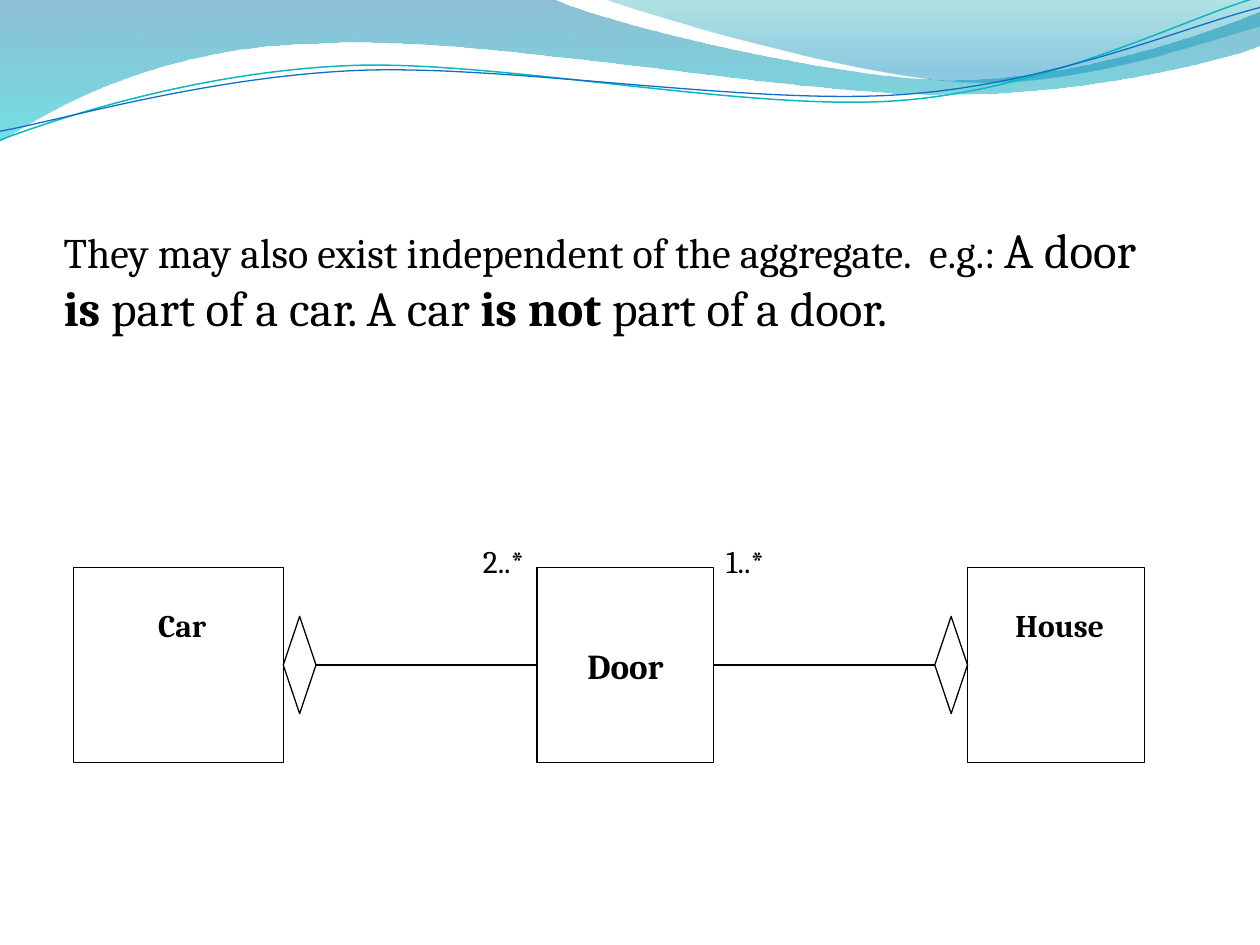
import pptx
import pptx.util
import pptx.dml.color
import pptx.enum.shapes
import pptx.enum.text
import pptx.oxml.ns
from lxml import etree

Pt = pptx.util.Pt
SHAPE = pptx.enum.shapes.MSO_SHAPE
ALIGN = pptx.enum.text.PP_ALIGN
ANCHOR = pptx.enum.text.MSO_ANCHOR
qn = pptx.oxml.ns.qn

FONT = "Cambria"
COLORS = {
    "ink": "000000",
    "deep": "0074A1",
    "aqua": "00C6CF",
    "teal": "00A1A9",
    "sky": "008BBF",
    "teal_line": "0AB8BF",
    "blue_line": "0F6FC6",
}

# Outlines in points: a pair is a corner, six numbers are a Bezier segment.
BROAD_WAVE = [
    (0, 0), (317, -0.5),
    (343, 12, 478, 45.5, 546, 45.5), (614, 45.5, 690, 19, 720, 6.5),
    (720.5, 26),
    (708, 31.5, 626, 54.7, 537, 54), (448, 54, 275, 20, 185, 24.5),
    (92.5, 26, 33, 60, -0.5, 81),
]
RIGHT_WAVE = [
    (345, -0.5),
    (366.5, 8, 491, 44.5, 553.7, 47), (616, 49.5, 692, 23, 720, 15),
    (720, 0),
]
TEAL_CURVE = [
    (0, 80),
    (34.5, 67, 114, 41, 199.5, 37.5), (284.5, 34, 427, 64, 513.5, 57.5),
    (600, 51, 675.5, 11, 718.5, -1.5),
]
BLUE_CURVE = [
    (0, 75),
    (34, 69, 118, 44, 204, 40.3), (290, 36.7, 430, 60.5, 516, 54),
    (602, 48, 677.5, 15, 720, 4.3),
]


def rgb(name):
    return pptx.dml.color.RGBColor.from_string(COLORS[name])


def add_outline(slide, left, top, outline, close):
    """Draw the outline, joining each three points of a Bezier into one curve."""
    points = [(Pt(left + part[i]), Pt(top + part[i + 1]))
              for part in outline for i in range(0, len(part), 2)]
    builder = slide.shapes.build_freeform(*points[0], scale=1.0)
    builder.add_line_segments(points[1:], close=close)
    sp = builder.convert_to_shape()
    sp.shadow.inherit = False
    lines = iter(list(sp._element.iter(qn("a:lnTo"))))
    for part in outline[1:]:
        first = next(lines)
        if len(part) == 6:
            first.tag = qn("a:cubicBezTo")
            for _ in range(2):
                extra = next(lines)
                first.append(extra[0])
                extra.getparent().remove(extra)
    return sp


def add_waves(slide, left, top):
    for outline, stops in (
        (BROAD_WAVE, [(0, "deep", 45), (1, "aqua", 55)]),
        (RIGHT_WAVE, [(0, "teal", 30), (0.8, "sky", 45)]),
    ):
        sp = add_outline(slide, left, top, outline, True)
        sp.line.fill.background()
        sp.fill.gradient()
        sp.fill.gradient_angle = 270
        for stop, (position, color, opacity) in zip(sp.fill.gradient_stops, stops):
            stop.position = position
            stop.color.rgb = rgb(color)
        gradient = sp._element.spPr.find(qn("a:gradFill"))
        for clr, (position, color, opacity) in zip(gradient.iter(qn("a:srgbClr")), stops):
            etree.SubElement(clr, qn("a:alpha"), val=str(opacity * 1000))
    for outline, color, width in ((TEAL_CURVE, "teal_line", 0.85),
                                  (BLUE_CURVE, "blue_line", 0.75)):
        sp = add_outline(slide, left, top, outline, False)
        sp.fill.background()
        sp.line.color.rgb = rgb(color)
        sp.line.width = Pt(width)


def write(tf, runs, align=ALIGN.LEFT):
    """Fill a frame with one paragraph of (text, size, bold) runs."""
    tf.word_wrap = True
    p = tf.paragraphs[0]
    p.alignment = align
    for text, size, bold in runs:
        r = p.add_run()
        r.text = text
        for key, value in {"name": FONT, "size": Pt(size), "bold": bold}.items():
            setattr(r.font, key, value)
        r.font.color.rgb = rgb("ink")


def add_text(slide, left, top, width, height, runs, align=ALIGN.LEFT):
    box = slide.shapes.add_textbox(Pt(left), Pt(top), Pt(width), Pt(height))
    write(box.text_frame, runs, align)


def add_outlined(slide, kind, left, top, width, height):
    sp = slide.shapes.add_shape(kind, Pt(left), Pt(top), Pt(width), Pt(height))
    sp.shadow.inherit = False
    sp.fill.background()
    sp.line.color.rgb = rgb("ink")
    sp.line.width = Pt(0.75)
    return sp


def add_link(slide, x1, x2, y):
    line = slide.shapes.add_connector(
        pptx.enum.shapes.MSO_CONNECTOR.STRAIGHT, Pt(x1), Pt(y), Pt(x2), Pt(y))
    line.line.color.rgb = rgb("ink")
    line.line.width = Pt(0.75)
    etree.SubElement(line._element.spPr, qn("a:effectLst"))


def add_aggregation(slide, left, top):
    """Two wholes, Car and House, that share the part Door between them."""
    height, gap, diamond = 111.2, 145, 18.7
    car_w, box_w = 120, 101
    door = left + car_w + gap
    door_end = door + box_w
    house = door_end + gap
    middle = top + height / 2

    for name, x, width in (("Car", left, car_w), ("House", house, box_w)):
        add_outlined(slide, SHAPE.RECTANGLE, x, top, width, height)
        add_text(slide, x + 7, top + 18.3, width - 9.5, 89,
                 [(name, 18, True)], ALIGN.CENTER)
    sp = add_outlined(slide, SHAPE.RECTANGLE, door, top, box_w, height)
    sp.text_frame.vertical_anchor = ANCHOR.MIDDLE
    write(sp.text_frame, [("Door", 20, True)], ALIGN.CENTER)

    for x in (left + car_w, house - diamond):
        add_outlined(slide, SHAPE.DIAMOND, x, top + height / 4, diamond, height / 2)
    add_link(slide, left + car_w + diamond, door, middle)
    add_link(slide, door_end, house - diamond, middle)

    for text, x in (("2..*", door - 38), ("1..*", door_end)):
        add_text(slide, x, top - 18.4, 44, 89, [(text, 18, False)])


def main():
    prs = pptx.Presentation()
    prs.slide_width, prs.slide_height = Pt(720), Pt(540)
    slide = prs.slides.add_slide(prs.slide_layouts[6])
    add_waves(slide, 0, 0)
    add_text(slide, 29.3, 121.7, 648, 345.6, [
        ("They may also exist independent of the aggregate.  e.g.: ", 24, False),
        ("A door ", 28, False),
        ("is", 28, True),
        (" part of a car. A car ", 28, False),
        ("is not", 28, True),
        (" part of a door.", 28, False),
    ])
    add_aggregation(slide, 41.9, 324.4)
    prs.save("out.pptx")


if __name__ == "__main__":
    main()
